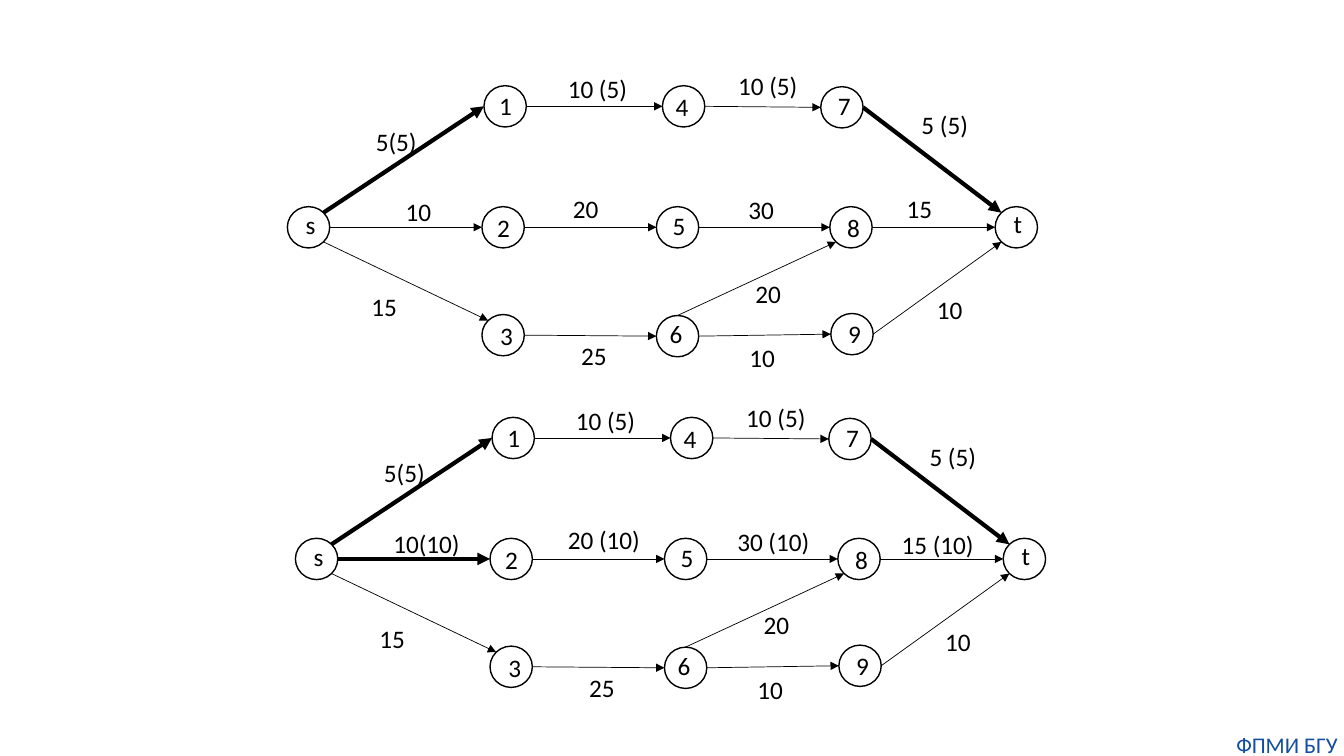
import math

import lxml.etree
import pptx
import pptx.dml.color
import pptx.enum.shapes
import pptx.enum.text
import pptx.oxml.ns
import pptx.util

Inches = pptx.util.Inches
CENTER = pptx.enum.text.PP_ALIGN.CENTER

NODE_WIDTH, NODE_HEIGHT = 0.42, 0.41
LABEL_HEIGHT = 0.4
LABEL_INSET = 0.1
GLYPH_WIDTHS = {" ": 0.06, "(": 0.08, ")": 0.08, "s": 0.1, "t": 0.09}
DIGIT_WIDTH = 0.13
COMPASS = {"E": 0, "SE": 45, "S": 90, "SW": 135, "W": 180, "NW": 225, "N": 270, "NE": 315}

# name: circle left, circle top, label left, label top
NODES = {
    "s": (0, 1.4, 0.08, 1.38),
    "1": (1.95, 0.2, 2, 0.2),
    "2": (1.93, 1.4, 1.98, 1.41),
    "3": (1.93, 2.47, 2.01, 2.48),
    "4": (3.72, 0.2, 3.75, 0.21),
    "5": (3.66, 1.4, 3.72, 1.39),
    "6": (3.66, 2.48, 3.69, 2.46),
    "7": (5.29, 0.21, 5.36, 0.2),
    "8": (5.38, 1.4, 5.45, 1.41),
    "9": (5.39, 2.46, 5.46, 2.46),
    "t": (7.02, 1.4, 7.1, 1.37),
}

EDGE_SIDES = {
    "s1": ("NE", "W"), "14": ("E", "W"), "47": ("E", "W"), "7t": ("E", "NW"),
    "s2": ("E", "W"), "25": ("E", "W"), "58": ("E", "W"), "8t": ("E", "W"),
    "s3": ("SE", "NW"), "36": ("E", "W"), "69": ("E", "W"), "9t": ("E", "SW"),
    "68": ("N", "SW"),
}

# edge: text, label left, label top
FIRST_FLOW = {
    "s1": ("5(5)", 0.77, 0.55),
    "14": ("10 (5)", 2.67, 0.03),
    "47": ("10 (5)", 4.36, 0),
    "7t": ("5 (5)", 6.18, 0.39),
    "s2": ("10", 1.07, 1.25),
    "25": ("20", 2.73, 1.22),
    "58": ("30", 4.47, 1.23),
    "8t": ("15", 6.04, 1.22),
    "s3": ("15", 0.73, 2.19),
    "36": ("25", 2.81, 2.68),
    "69": ("10", 4.48, 2.7),
    "9t": ("10", 6.34, 2.22),
    "68": ("20", 4.54, 2.06),
}
SECOND_FLOW = FIRST_FLOW | {
    "s2": ("10(10)", 0.86, 1.25),
    "25": ("20 (10)", 2.59, 1.21),
    "58": ("30 (10)", 4.27, 1.23),
    "8t": ("15 (10)", 5.9, 1.26),
}


def color(value):
    return pptx.dml.color.RGBColor.from_string(value)


def set_line(shape, width):
    shape.line.color.rgb = color("000000")
    shape.line.width = pptx.util.Pt(width)


def add_text(page, text, left, top, width, height, inset, size, ink, wrap):
    box = page.shapes.add_textbox(*map(Inches, (left, top, width, height)))
    frame = box.text_frame
    frame_format = {
        "word_wrap": wrap,
        "auto_size": pptx.enum.text.MSO_AUTO_SIZE.SHAPE_TO_FIT_TEXT,
        "margin_left": Inches(inset),
        "margin_right": Inches(inset),
        "margin_top": Inches(inset / 2),
        "margin_bottom": Inches(inset / 2),
    }
    for name, value in frame_format.items():
        setattr(frame, name, value)
    para = frame.paragraphs[0]
    para.alignment = CENTER
    span = para.add_run()
    span.text = text
    for name, value in {"name": "Calibri", "size": pptx.util.Pt(size)}.items():
        setattr(span.font, name, value)
    span.font.color.rgb = color(ink)


def add_label(page, text, left, top):
    width = 2 * LABEL_INSET + sum(GLYPH_WIDTHS.get(glyph, DIGIT_WIDTH) for glyph in text)
    add_text(page, text, left, top, width, LABEL_HEIGHT, LABEL_INSET, 18, "000000", False)


def add_node(page, left, top):
    circle = page.shapes.add_shape(
        pptx.enum.shapes.MSO_SHAPE.OVAL,
        *map(Inches, (left, top, NODE_WIDTH, NODE_HEIGHT)),
    )
    circle.shadow.inherit = False
    circle.fill.background()
    set_line(circle, 1)


def rim_point(node, side):
    left, top = NODES[node][:2]
    angle = math.radians(COMPASS[side])
    return (left + NODE_WIDTH / 2 * (1 + math.cos(angle)),
            top + NODE_HEIGHT / 2 * (1 + math.sin(angle)))


def add_edge(page, start, end, width):
    arrow = page.shapes.add_connector(
        pptx.enum.shapes.MSO_CONNECTOR.STRAIGHT, *map(Inches, (*start, *end)))
    set_line(arrow, width)
    qualify = pptx.oxml.ns.qn
    outline = arrow.line._get_or_add_ln()
    lxml.etree.SubElement(outline, qualify("a:tailEnd"), type="triangle")
    lxml.etree.SubElement(arrow._element.spPr, qualify("a:effectLst"))


def add_network(page, left, top, flow, saturated):
    for node_left, node_top, _, _ in NODES.values():
        add_node(page, left + node_left, top + node_top)
    for edge, sides in EDGE_SIDES.items():
        start, end = (
            (left + across, top + down)
            for across, down in map(rim_point, edge, sides)
        )
        add_edge(page, start, end, 3 if edge in saturated else 0.5)
    for text, label_left, label_top in flow.values():
        add_label(page, text, left + label_left, top + label_top)
    for name, (_, _, label_left, label_top) in NODES.items():
        add_label(page, name, left + label_left, top + label_top)


def add_footer(page, left, top, width, height):
    add_text(page, "ФПМИ БГУ", left, top, width, height, 0, 16, "144E9D", True)


def main():
    deck = pptx.Presentation()
    deck.slide_width, deck.slide_height = Inches(13.33), Inches(7.5)
    page = deck.slides.add_slide(deck.slide_layouts[6])
    add_footer(page, 12.2, 7.25, 1.13, 0.27)
    add_network(page, 2.85, 0.65, FIRST_FLOW, {"s1", "7t"})
    add_network(page, 2.93, 3.94, SECOND_FLOW, {"s1", "7t", "s2"})
    deck.save("out.pptx")


if __name__ == "__main__":
    main()
